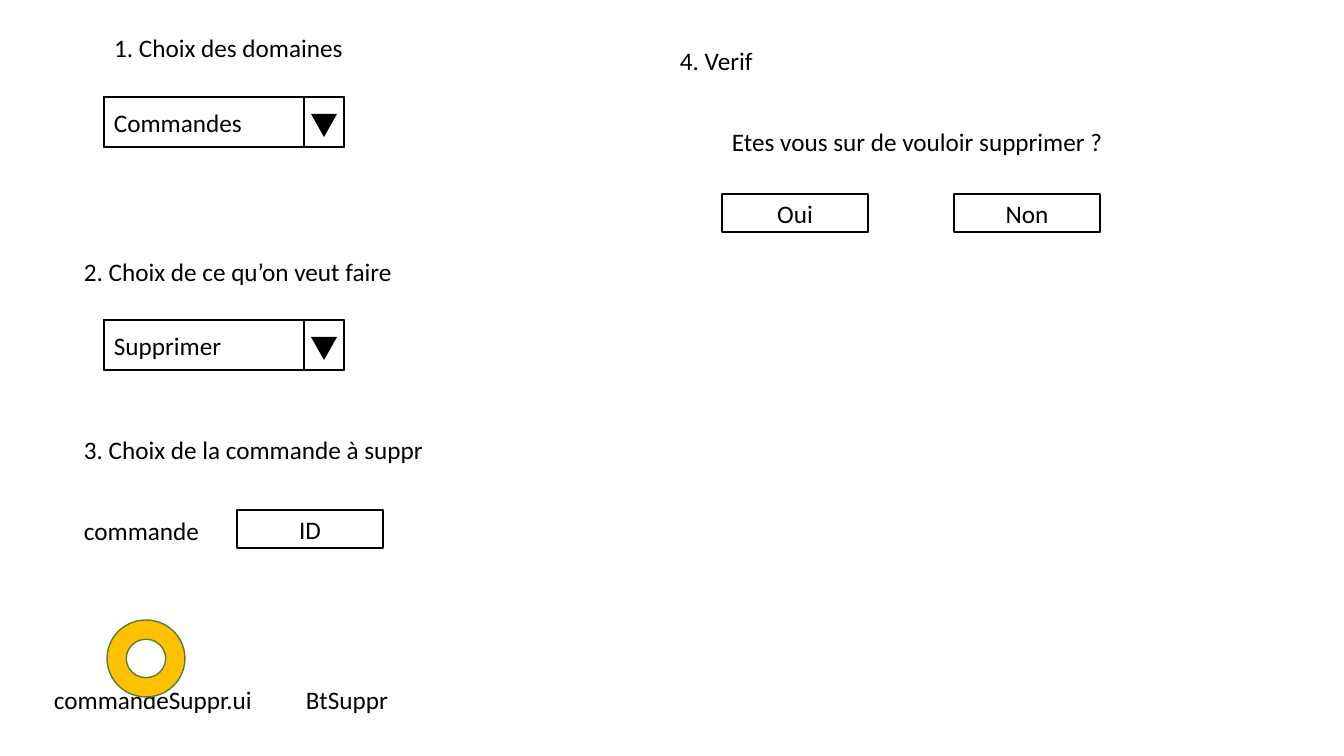
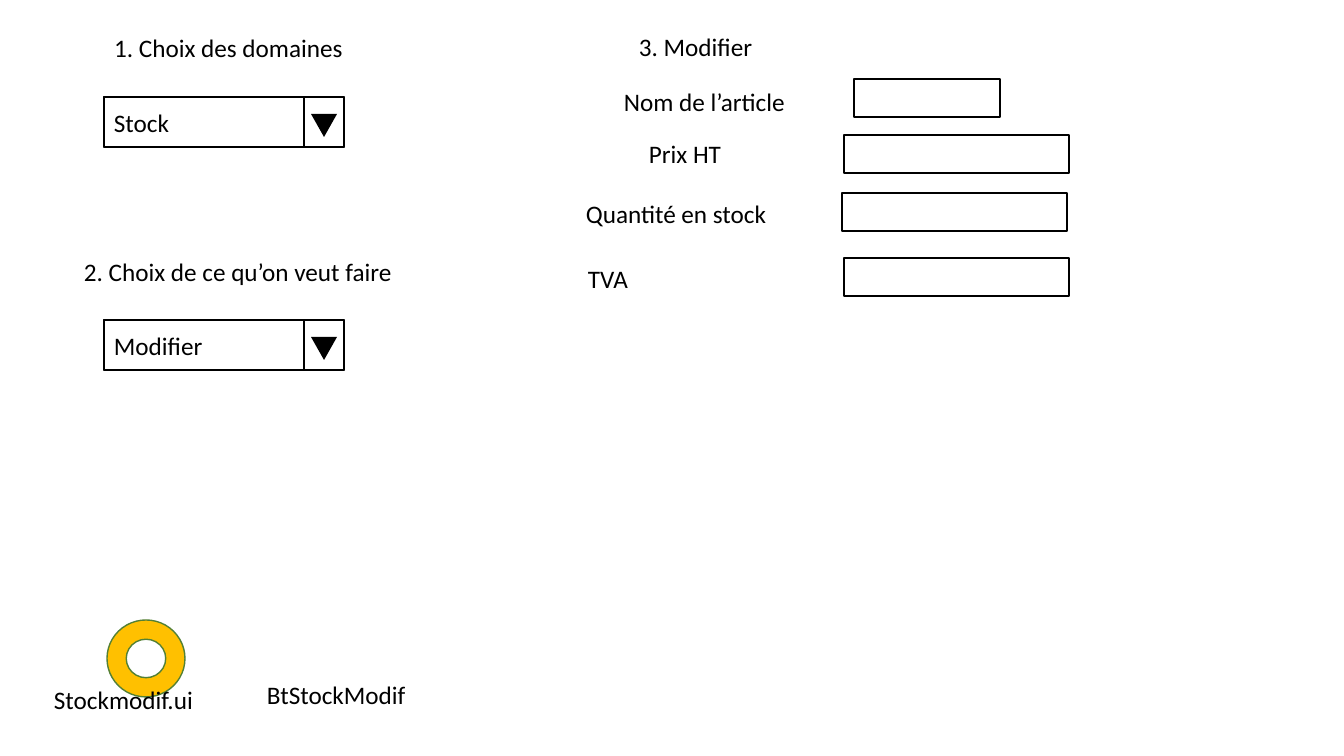
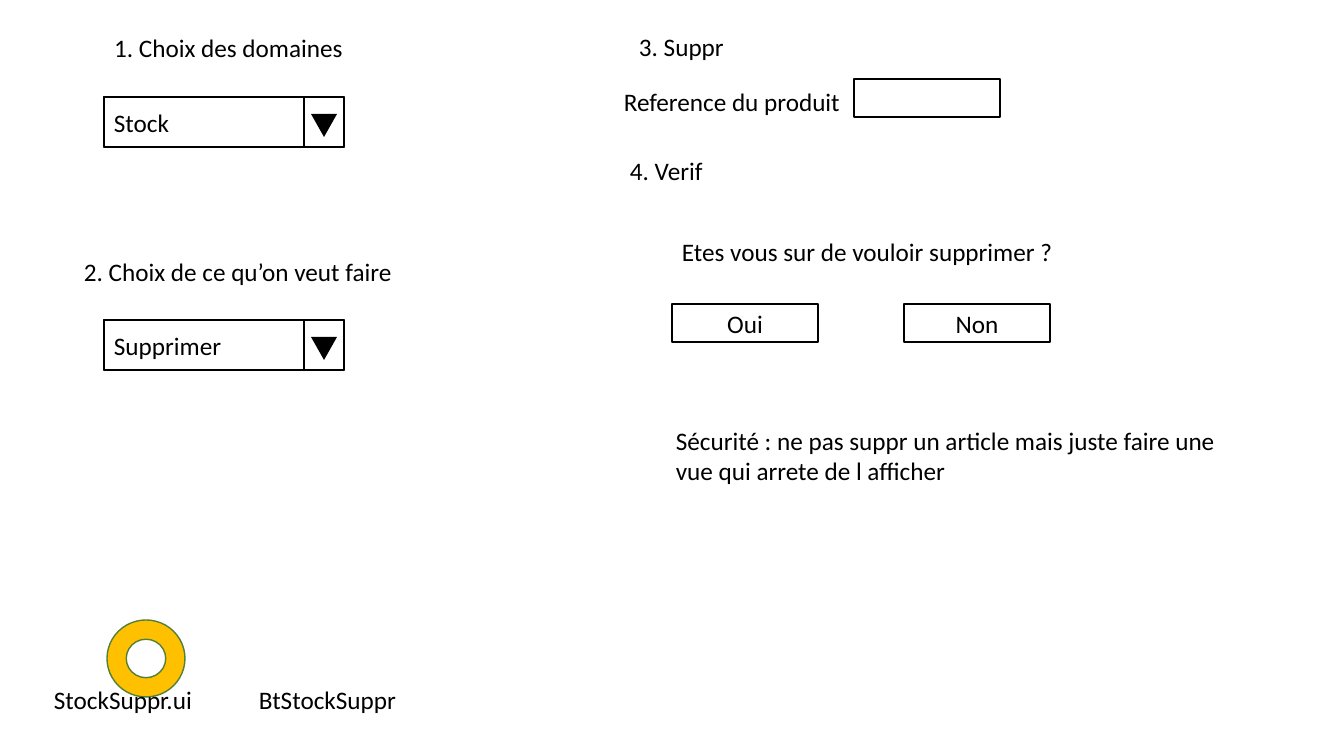
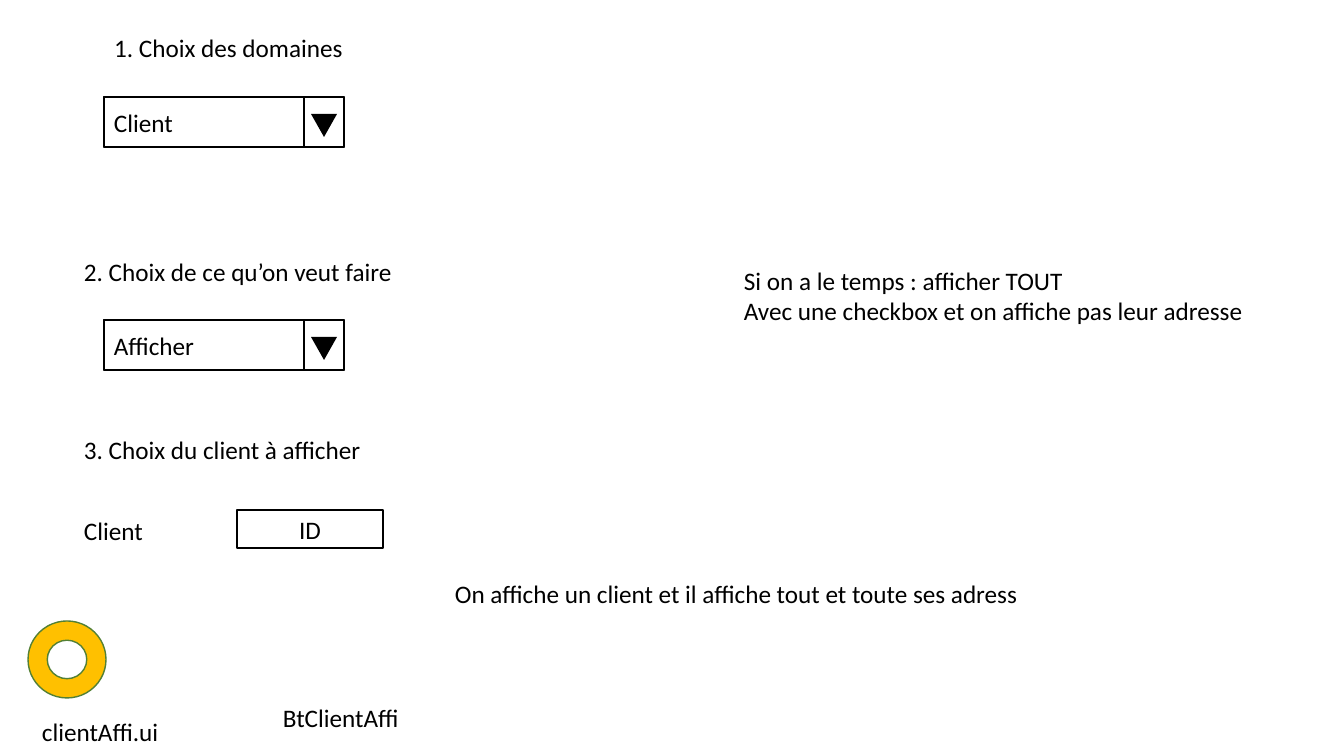
import pptx
import pptx.util
import pptx.dml.color
import pptx.enum.shapes
import pptx.enum.text

SCALE = 914400 / 100.8
BLACK, GOLD, GREEN = "000000", "FFC000", "538035"
FONT, SIZE = "Calibri", 18
TITLE = ("1. Choix des domaines", 104, 27, 252, 40)
ACTION = ("2. Choix de ce qu’on veut faire", 74, 251, 334, 40)
MENU_X, MENU_TOPS = 104, (97, 320)
MENU_W, MENU_H, ARROW_W = 240, 50, 40

SLIDES = [
    (("Commandes", "Supprimer"), [
        ("text", "3. Choix de la commande à suppr", 74, 429, 364, 40),
        ("field", "ID", 237, 510, 146),
        ("text", "commande", 74, 510, 156, 40),
        ("verify", 670, 40),
        ("text", "commandeSuppr.ui \tBtSuppr", 44, 679, 672, 40),
        ("ring", 107, 620),
    ]),
    (("Stock", "Modifier"), [
        ("field", "", 854, 79, 146),
        ("text", "3. Modifier", 629, 26, 135, 72),
        ("text", "Nom de l’article", 614, 81, 240, 40),
        ("field", "", 844, 135, 225),
        ("text", "Prix HT", 639, 133, 207, 72),
        ("field", "", 842, 193, 225),
        ("text", "Quantité en stock", 576, 193, 207, 40),
        ("field", "", 844, 258, 225),
        ("text", "TVA", 578, 258, 207, 40),
        ("text", "BtStockModif", 257, 674, 672, 40),
        ("ring", 107, 620),
        ("text", "Stockmodif.ui", 44, 679, 672, 40),
    ]),
    (("Stock", "Supprimer"), [
        ("field", "", 854, 79, 146),
        ("text", "3. Suppr", 629, 26, 106, 72),
        ("text", "Reference du produit", 614, 81, 240, 40),
        ("text", "Sécurité : ne pas suppr un article mais juste faire une "
                 "vue qui arrete de l afficher", 666, 420, 564, 72),
        ("verify", 620, 150),
        ("text", "BtStockSuppr", 249, 679, 165, 40),
        ("ring", 107, 620),
        ("text", "StockSuppr.ui", 44, 679, 165, 40),
    ]),
    (("Client", "Afficher"), [
        ("text", "3. Choix du client à afficher", 74, 429, 300, 40),
        ("field", "ID", 237, 510, 146),
        ("text", "Client", 74, 510, 156, 40),
        ("text", "Si on a le temps : afficher TOUT\n"
                 "Avec une checkbox et on affiche pas leur adresse",
         734, 260, 526, 102),
        ("text", "BtClientAffi", 273, 697, 214, 40),
        ("ring", 28, 621),
        ("text", "clientAffi.ui", 32, 711, 165, 40),
        ("text", "On affiche un client et il affiche tout et toute ses adress",
         445, 573, 592, 72),
    ]),
]

KIND = pptx.enum.shapes.MSO_SHAPE
ALIGN = pptx.enum.text.PP_ALIGN
ANCHOR = pptx.enum.text.MSO_ANCHOR


def px(*sizes):
    return [pptx.util.Emu(round(size * SCALE)) for size in sizes]


def color(code):
    return pptx.dml.color.RGBColor.from_string(code)


def write(shape, words, align=ALIGN.LEFT, anchor=ANCHOR.TOP):
    frame = shape.text_frame
    frame.text = words
    frame.word_wrap = True
    frame.auto_size = pptx.enum.text.MSO_AUTO_SIZE.NONE
    frame.vertical_anchor = anchor
    for line in frame.paragraphs:
        line.alignment = align
        line.font.name = FONT
        line.font.size = pptx.util.Pt(SIZE)
        line.font.color.rgb = color(BLACK)


def form(slide, kind, x, y, w, h, fill=None, edge=None):
    shape = slide.shapes.add_shape(kind, *px(x, y, w, h))
    shape.shadow.inherit = False
    if fill:
        shape.fill.solid()
        shape.fill.fore_color.rgb = color(fill)
    else:
        shape.fill.background()
    if edge:
        shape.line.color.rgb = color(edge)
        shape.line.width = pptx.util.Pt(1)
    else:
        shape.line.fill.background()
    return shape


def text(slide, words, x, y, w, h):
    write(slide.shapes.add_textbox(*px(x, y, w, h)), words)


def field(slide, words, x, y, w):
    box = form(slide, KIND.RECTANGLE, x, y, w, 38, edge=BLACK)
    if words:
        write(box, words, ALIGN.CENTER, ANCHOR.MIDDLE)


def verify(slide, x, y):
    text(slide, "4. Verif", x, y, 94, 40)
    text(slide, "Etes vous sur de vouloir supprimer ?", x + 52, y + 81, 463, 40)
    for place, answer in enumerate(("Oui", "Non")):
        field(slide, answer, x + 52 + 232 * place, y + 154, 146)


def ring(slide, x, y):
    form(slide, KIND.DONUT, x, y, 78, 77, GOLD, GREEN)


def menu(slide, choice, y):
    label_w = MENU_W - ARROW_W
    arrow_x = MENU_X + label_w
    form(slide, KIND.RECTANGLE, MENU_X, y, MENU_W, MENU_H, edge=BLACK)
    form(slide, KIND.RECTANGLE, arrow_x, y, ARROW_W, MENU_H, edge=BLACK)
    arrow = form(slide, KIND.ISOSCELES_TRIANGLE, arrow_x + 7, y + 17, 26, 23, BLACK)
    arrow.rotation = 180
    label = form(slide, KIND.RECTANGLE, MENU_X, y, label_w, MENU_H, edge=BLACK)
    write(label, choice, anchor=ANCHOR.MIDDLE)


def head(slide, words, *place):
    title = slide.shapes.title
    title.left, title.top, title.width, title.height = px(*place)
    write(title, words)


DRAW = {"text": text, "field": field, "verify": verify, "ring": ring}

deck = pptx.Presentation()
deck.slide_width, deck.slide_height = px(1344, 756)
for choices, items in SLIDES:
    slide = deck.slides.add_slide(deck.slide_layouts[5])
    head(slide, *TITLE)
    text(slide, *ACTION)
    for choice, top in zip(choices, MENU_TOPS):
        menu(slide, choice, top)
    for kind, *values in items:
        DRAW[kind](slide, *values)
deck.save("out.pptx")
